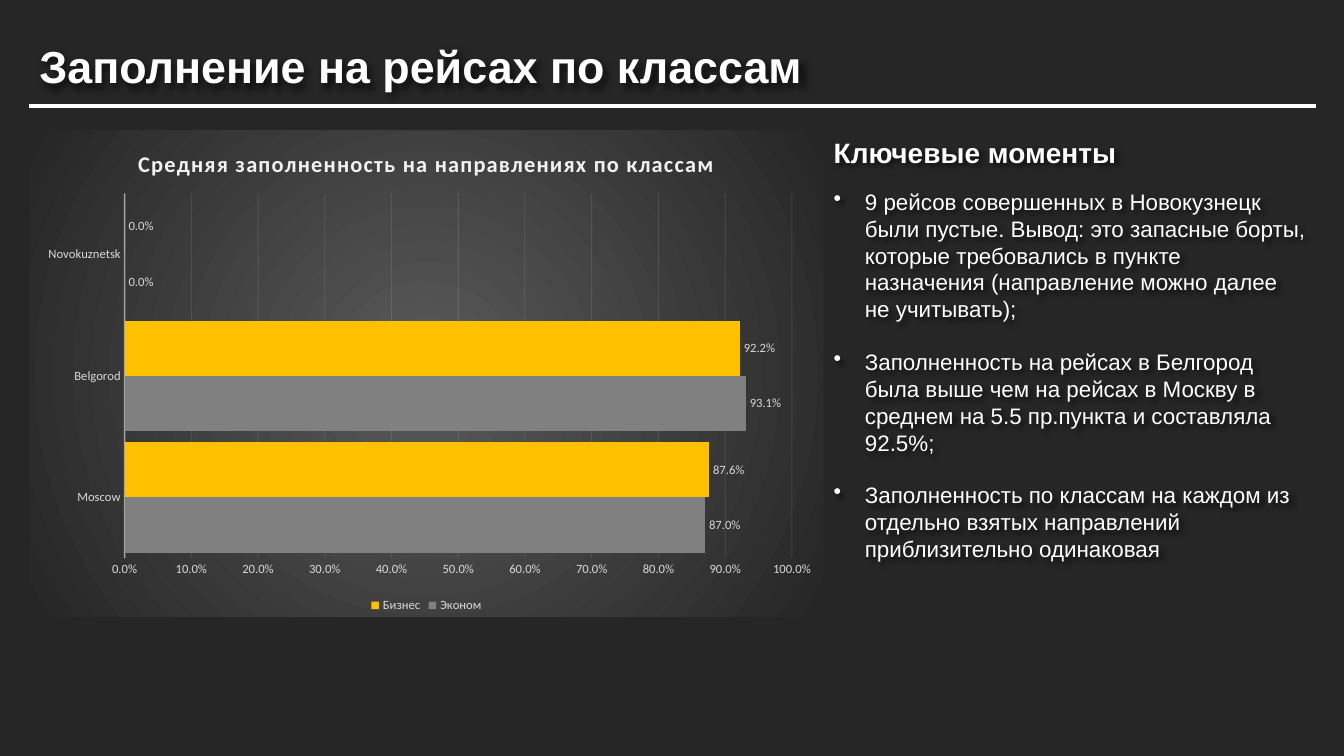
"""Builds the slide on seat occupancy by travel class."""
from typing import Any, NamedTuple

from lxml.etree import SubElement as Sub
from pptx import Presentation
from pptx.chart.data import CategoryChartData as Data
from pptx.dml.color import RGBColor as RGB
from pptx.enum.chart import XL_CHART_TYPE as Kind
from pptx.enum.chart import XL_LABEL_POSITION as Spot
from pptx.enum.chart import XL_LEGEND_POSITION as Side
from pptx.enum.chart import XL_TICK_MARK as Tick
from pptx.enum.shapes import MSO_CONNECTOR as Link
from pptx.enum.text import MSO_ANCHOR as Anchor
from pptx.enum.text import MSO_AUTO_SIZE as Auto
from pptx.enum.text import PP_ALIGN as Align
from pptx.oxml import parse_xml
from pptx.oxml.ns import nsdecls, qn
from pptx.util import Inches, Pt

WHITE = RGB(0xFF, 0xFF, 0xFF)
DARK = RGB(0x26, 0x26, 0x26)
PALE = RGB(0xF2, 0xF2, 0xF2)
LIGHT = RGB(0xD9, 0xD9, 0xD9)
GRAY = RGB(0x80, 0x80, 0x80)
GOLD = RGB(0xFF, 0xC0, 0x00)
GLOW = RGB(0x59, 0x59, 0x59)
LEFT, WIDE, TOP = Inches(0.29), Inches(12.76), Inches(1.29)
RULE = Inches(1.05)
PERCENT = "0.0%"


class Note(NamedTuple):
    """A paragraph of the side text."""
    text: str
    size: float = 16
    bold: bool = False
    gap: float = 18.4


class Cabin(NamedTuple):
    """A travel class with its occupancy per city."""
    name: str
    color: RGB
    rates: tuple[float, ...]


CITIES = ("Moscow", "Belgorod", "Novokuznetsk")
CABINS = (
    Cabin("Эконом", GRAY, (0.87, 0.931, 0)),
    Cabin("Бизнес", GOLD, (0.876, 0.922, 0)),
)
NOTES = (
    Note("Ключевые моменты", 20, True, 0),
    Note("9 рейсов совершенных в Новокузнецк были пустые. Вывод: это запасные "
         "борты, которые требовались в пункте назначения (направление можно "
         "далее не учитывать);", gap=13.8),
    Note("Заполненность на рейсах в Белгород была выше чем на рейсах в Москву "
         "в среднем на 5.5 пр.пункта и составляла 92.5%;"),
    Note("Заполненность по классам на каждом из отдельно взятых направлений "
         "приблизительно одинаковая"),
)


def style(font: Any, size: float, color: RGB, bold: bool = False,
          name: str = "Calibri") -> None:
    """Sets the look of a font."""
    font.name, font.size, font.bold = name, Pt(size), bold
    font.color.rgb = color


def shade(shape: Any) -> None:
    """Gives the text of an unfilled shape a soft shadow."""
    shape.fill.background()
    shape.shadow.inherit = False
    box = shape._element.spPr.find(qn("a:effectLst"))
    cast = Sub(box, qn("a:outerShdw"), blurRad="50800", dist="38100",
               dir="2700000", algn="tl", rotWithShape="0")
    tint = Sub(cast, qn("a:srgbClr"), val="000000")
    Sub(tint, qn("a:alpha"), val="60000")


def stroke(line: Any, width: float, alpha: int) -> None:
    """Draws a pale, partly clear line."""
    line.color.rgb, line.width = PALE, Pt(width)
    tint = line._get_or_add_ln().find(".//" + qn("a:srgbClr"))
    Sub(tint, qn("a:alpha"), val=str(alpha * 1000))


def add_title(slide: Any) -> None:
    """Places the heading and the rule below it."""
    title = slide.shapes.title
    title.left, title.top = LEFT, Inches(0.33)
    title.width, title.height = WIDE, Inches(0.64)
    shade(title)
    frame = title.text_frame
    frame.text = "Заполнение на рейсах по классам"
    frame.auto_size, frame.vertical_anchor = Auto.NONE, Anchor.MIDDLE
    para = frame.paragraphs[0]
    para.alignment = Align.LEFT
    style(para.font, 32, WHITE, True, "Arial")
    rule = slide.shapes.add_connector(Link.STRAIGHT, LEFT, RULE, LEFT + WIDE, RULE)
    rule.line.color.rgb, rule.line.width = WHITE, Pt(3)
    Sub(rule._element.spPr, qn("a:effectLst"))


def add_notes(slide: Any) -> None:
    """Writes the key points beside the chart."""
    box = slide.shapes.add_textbox(Inches(8.17), TOP, Inches(4.88), Inches(4.41))
    shade(box)
    frame = box.text_frame
    frame.word_wrap, frame.auto_size = True, Auto.SHAPE_TO_FIT_TEXT
    for i, note in enumerate(NOTES):
        para = frame.add_paragraph() if i else frame.paragraphs[0]
        para.text, para.space_before = note.text, Pt(note.gap)
        style(para.font, note.size, WHITE, note.bold, "Arial")
        if not note.bold:
            props = para._p.get_or_add_pPr()
            dent = Inches(0.31)
            props.set("marL", str(dent))
            props.set("indent", str(-dent))
            mark = parse_xml(f'<a:buChar {nsdecls("a")} char="•"/>')
            props.find(qn("a:defRPr")).addprevious(mark)


def add_back(chart: Any) -> None:
    """Fills the chart with a round gradient and fixes the plot area."""
    root = chart._chartSpace
    root.find(qn("c:chart")).addnext(parse_xml(
        f'<c:spPr {nsdecls("c", "a")}><a:gradFill><a:gsLst>'
        f'<a:gs pos="0"><a:srgbClr val="{GLOW}"/></a:gs>'
        f'<a:gs pos="100000"><a:srgbClr val="{DARK}"/></a:gs></a:gsLst>'
        '<a:path path="circle"><a:fillToRect l="50000" t="50000" r="50000" '
        'b="50000"/></a:path></a:gradFill><a:ln><a:noFill/></a:ln></c:spPr>'))
    plot = root.find(".//" + qn("c:plotArea"))
    for old in plot.findall(qn("c:layout")):
        plot.remove(old)
    grid = parse_xml(f'<c:layout {nsdecls("c")}><c:manualLayout/></c:layout>')
    plot.insert(0, grid)
    rules = {"layoutTarget": "inner", "xMode": "edge", "yMode": "edge",
             "x": "0.12", "y": "0.13", "w": "0.84", "h": "0.75"}
    for key, val in rules.items():
        Sub(grid[0], qn("c:" + key), val=val)


def add_bars(slide: Any) -> None:
    """Draws the bar chart of occupancy."""
    data = Data(number_format=PERCENT)
    data.categories = CITIES
    for cabin in CABINS:
        data.add_series(cabin.name, cabin.rates)
    chart = slide.shapes.add_chart(Kind.BAR_CLUSTERED, LEFT, TOP, Inches(7.88),
                                   Inches(4.83), data).chart
    style(chart.font, 10, LIGHT)
    chart.has_title = True
    frame = chart.chart_title.text_frame
    frame.text = "Средняя заполненность на направлениях по классам"
    font = frame.paragraphs[0].font
    style(font, 16, PALE, True)
    font._element.set("spc", "100")
    chart.has_legend = True
    key = chart.legend
    key.position, key.include_in_layout = Side.BOTTOM, False
    style(key.font, 9, LIGHT)

    cats, vals = chart.category_axis, chart.value_axis
    for axis in (cats, vals):
        axis.major_tick_mark = axis.minor_tick_mark = Tick.NONE
        style(axis.tick_labels.font, 9, LIGHT)
    stroke(cats.format.line, 1, 54)
    vals.minimum_scale, vals.maximum_scale, vals.major_unit = 0, 1, 0.1
    vals.format.line.fill.background()
    stroke(vals.major_gridlines.format.line, 0.75, 10)
    vals.tick_labels.number_format = PERCENT
    vals.tick_labels.number_format_is_linked = False

    plot = chart.plots[0]
    plot.gap_width, plot.overlap, plot.vary_by_categories = 20, 0, False
    for cabin, bars in zip(CABINS, plot.series):
        bars.format.fill.solid()
        bars.format.fill.fore_color.rgb = cabin.color
        tags = bars.data_labels
        tags.show_value, tags.position = True, Spot.OUTSIDE_END
        tags.number_format, tags.number_format_is_linked = PERCENT, False
        style(tags.font, 9, LIGHT)
    add_back(chart)


def main() -> None:
    """Builds and saves the deck."""
    deck = Presentation()
    deck.slide_width, deck.slide_height = Inches(13.33), Inches(7.5)
    slide = deck.slides.add_slide(deck.slide_layouts[5])
    slide.background.fill.solid()
    slide.background.fill.fore_color.rgb = DARK
    add_title(slide)
    add_notes(slide)
    add_bars(slide)
    deck.save("out.pptx")


main()
